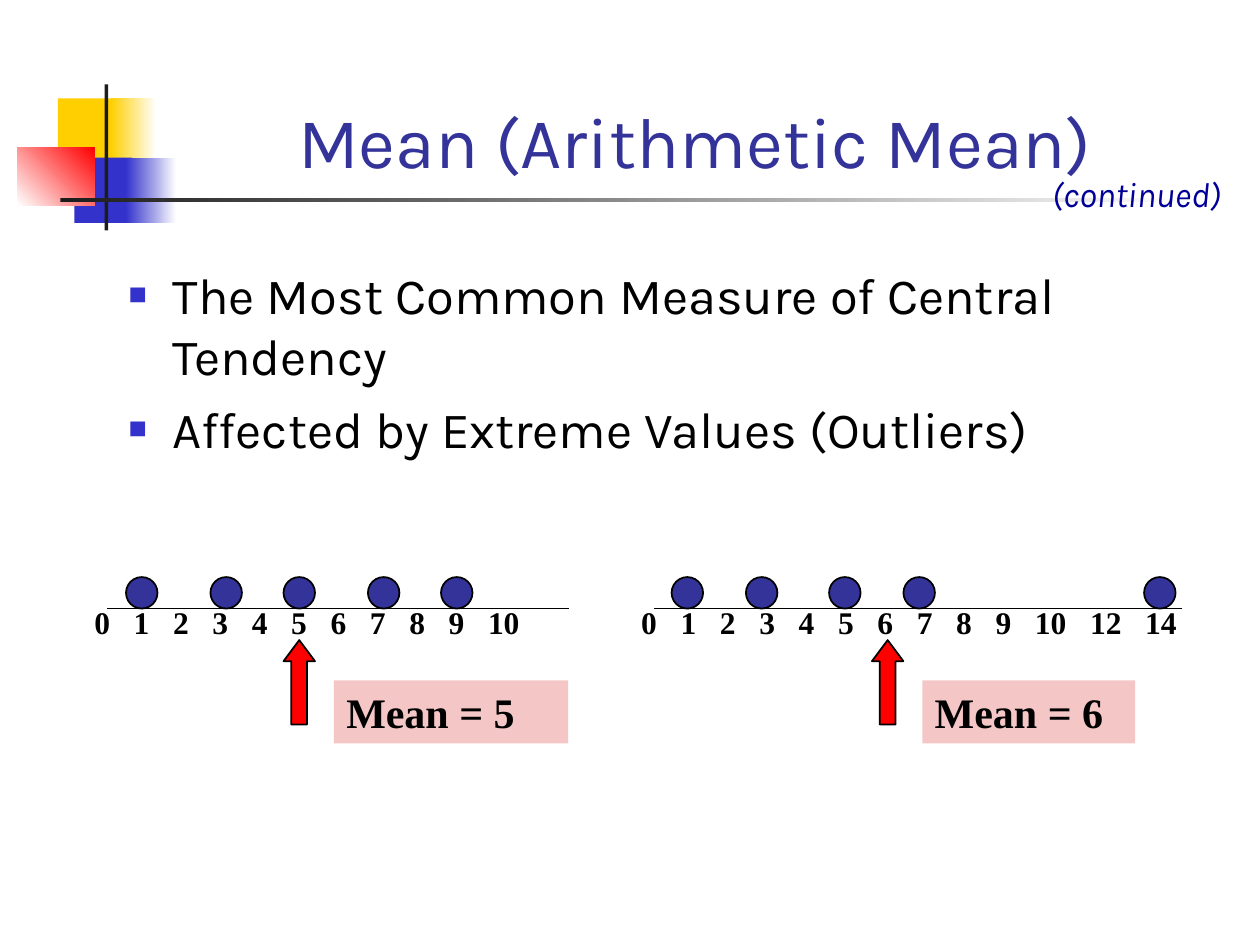
from dataclasses import dataclass
from itertools import accumulate

from lxml import etree
from pptx import Presentation
from pptx import util as u
from pptx.dml.color import RGBColor
from pptx.enum import shapes, text
from pptx.oxml.ns import qn

COLORS = {
    "yellow": "FFCF01", "blue": "3333CC", "red": "FF0000", "white": "FFFFFF",
    "charcoal": "1C1C1C", "navy": "333399", "note": "000099",
    "black": "000000", "pink": "F4C7C6",
}
DISPLAY, SERIF = "Karla", "Times New Roman"
AXIS_Y, DOT_SIZE = 4.83, 0.25
ARROW_LENGTH, ARROW_WIDTH = 0.67, 0.25
TICK_SIZE = 18


@dataclass
class Block:
    left: float
    top: float
    width: float
    height: float
    start: str
    end: str = ""
    angle: float = 0


@dataclass
class NumberLine:
    left: float
    right: float
    label_left: float
    label_width: float
    ticks: list[str]
    dots: list[float]
    mean: str
    mean_left: float
    mean_width: float


BLOCKS = [
    Block(0.46, 0.78, 0.48, 0.52, "yellow"),
    Block(0.88, 0.78, 0.36, 0.52, "yellow", "white"),
    Block(0.59, 1.25, 0.46, 0.52, "blue"),
    Block(1, 1.25, 0.4, 0.52, "blue", "white"),
    Block(0.14, 1.17, 0.61, 0.46, "white", "red", 45),
    Block(0.83, 0.67, 0.03, 1.16, "charcoal"),
    Block(0.48, 1.57, 9, 0.03, "charcoal", "white"),
]
TICKS = [str(value) for value in range(11)]
NUMBER_LINES = [
    NumberLine(0.85, 4.52, 0.65, 4.36, TICKS,
               [1, 1.67, 2.25, 2.92, 3.5], "Mean = 5", 2.65, 1.86),
    NumberLine(5.19, 9.38, 4.99, 4.69, TICKS + ["12", "14"],
               [5.33, 5.92, 6.58, 7.17, 9.08], "Mean = 6", 7.32, 1.69),
]


def rgb(name: str) -> RGBColor:
    return RGBColor.from_string(COLORS[name])


def place(left: float, top: float, width: float, height: float) -> list[int]:
    return [u.Inches(value) for value in (left, top, width, height)]


def add_shape(page, kind, area: list[int], fill: str, line: str = ""):
    shape = page.shapes.add_shape(kind, *area)
    shape.shadow.inherit = False
    shape.fill.solid()
    shape.fill.fore_color.rgb = rgb(fill)
    if line:
        shape.line.color.rgb = rgb(line)
        shape.line.width = u.Pt(1)
    else:
        shape.line.fill.background()
    return shape


def add_block(page, block: Block) -> None:
    area = place(block.left, block.top, block.width, block.height)
    shape = add_shape(page, shapes.MSO_SHAPE.RECTANGLE, area, block.start)
    if block.end:
        shape.fill.gradient()
        shape.fill.gradient_angle = block.angle
        for stop, name in zip(shape.fill.gradient_stops, (block.start, block.end)):
            stop.color.rgb = rgb(name)


def format_text(para, font: str, size: float, color: str,
                bold: bool = False, italic: bool = False) -> None:
    para.space_before = u.Pt(0)
    for span in para.runs:
        span.font.name = font
        span.font.size = u.Pt(size)
        span.font.color.rgb = rgb(color)
        span.font.bold = bold
        span.font.italic = italic


def add_text(page, area: list[int], content: str):
    box = page.shapes.add_textbox(*area)
    box.text_frame.word_wrap = True
    box.text_frame.text = content
    return box.text_frame.paragraphs[0]


def add_bullet(para) -> None:
    props = para._p.get_or_add_pPr()
    props.set("marL", str(u.Inches(0.35)))
    props.set("indent", str(-u.Inches(0.35)))
    color = etree.SubElement(props, qn("a:buClr"))
    etree.SubElement(color, qn("a:srgbClr"), val=COLORS["blue"])
    etree.SubElement(props, qn("a:buSzPct"), val="60000")
    etree.SubElement(props, qn("a:buChar"), char="■")


def add_tab_stops(para, ticks: list[str]) -> None:
    tabs = etree.SubElement(para._p.get_or_add_pPr(), qn("a:tabLst"))
    steps = [(len(tick) / 2 + 0.75) * TICK_SIZE for tick in ticks[:-1]]
    for stop in accumulate(steps):
        etree.SubElement(tabs, qn("a:tab"), pos=str(u.Pt(stop)), algn="l")


def add_number_line(page, plot: NumberLine) -> None:
    axis = page.shapes.add_connector(
        shapes.MSO_CONNECTOR.STRAIGHT, u.Inches(plot.left), u.Inches(AXIS_Y),
        u.Inches(plot.right), u.Inches(AXIS_Y))
    axis.line.color.rgb = rgb("black")
    axis.line.width = u.Pt(1)
    etree.SubElement(axis._element.spPr, qn("a:effectLst"))

    labels = add_text(page, place(plot.label_left, 4.74, plot.label_width, 0.4),
                      "\t".join(plot.ticks))
    add_tab_stops(labels, plot.ticks)
    format_text(labels, SERIF, TICK_SIZE, "black", bold=True)

    for left in plot.dots:
        add_shape(page, shapes.MSO_SHAPE.OVAL,
                  place(left, AXIS_Y - DOT_SIZE, DOT_SIZE, DOT_SIZE), "navy", "black")

    arrow = add_shape(page, shapes.MSO_SHAPE.RIGHT_ARROW,
                      place(plot.mean_left - 0.61, 5.29, ARROW_LENGTH, ARROW_WIDTH),
                      "red", "black")
    arrow.rotation = 270
    arrow.adjustments[0] = 0.5
    arrow.adjustments[1] = 0.67

    box = add_shape(page, shapes.MSO_SHAPE.RECTANGLE,
                    place(plot.mean_left, 5.4, plot.mean_width, 0.5), "pink")
    box.text_frame.text = plot.mean
    box.text_frame.vertical_anchor = text.MSO_ANCHOR.TOP
    para = box.text_frame.paragraphs[0]
    para.alignment = text.PP_ALIGN.LEFT
    format_text(para, SERIF, 24, "black", bold=True)


def fill_placeholder(page, holder, area: list[int], content: str, anchor):
    page.shapes._spTree.append(holder._element)
    holder.left, holder.top, holder.width, holder.height = area
    frame = holder.text_frame
    frame.text = content
    frame.word_wrap = True
    frame.auto_size = text.MSO_AUTO_SIZE.NONE
    frame.vertical_anchor = anchor
    return frame.paragraphs


def main() -> None:
    deck = Presentation()
    deck.slide_width, deck.slide_height = u.Inches(10), u.Inches(7.5)
    page = deck.slides.add_slide(deck.slide_layouts[1])
    for block in BLOCKS:
        add_block(page, block)

    title = fill_placeholder(page, page.shapes.title, place(1.26, 0.25, 8.52, 1.25),
                             "Mean (Arithmetic Mean)", text.MSO_ANCHOR.BOTTOM)[0]
    title.alignment = text.PP_ALIGN.CENTER
    format_text(title, DISPLAY, 41, "navy")

    points = fill_placeholder(
        page, page.placeholders[1], place(0.92, 2.04, 8.83, 4.96),
        "The Most Common Measure of Central Tendency\n"
        "Affected by Extreme Values (Outliers)", text.MSO_ANCHOR.TOP)
    for para in points:
        add_bullet(para)
        format_text(para, DISPLAY, 29, "black")
    points[1].space_before = u.Pt(7.3)

    note = add_text(page, place(8.25, 1.32, 1.75, 0.44), "(continued)")
    format_text(note, DISPLAY, 20, "note", italic=True)

    for plot in NUMBER_LINES:
        add_number_line(page, plot)
    deck.save("out.pptx")


if __name__ == "__main__":
    main()
